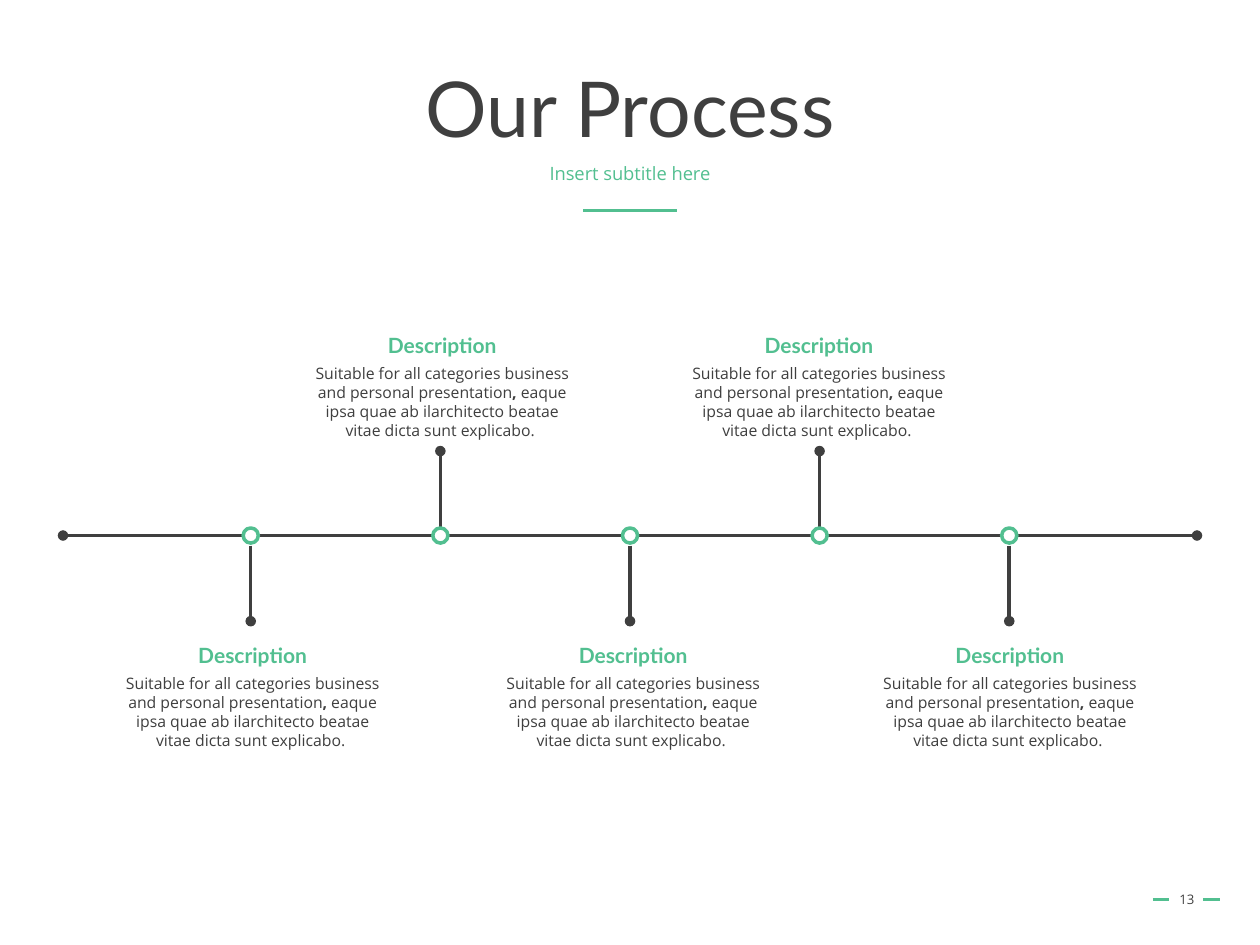
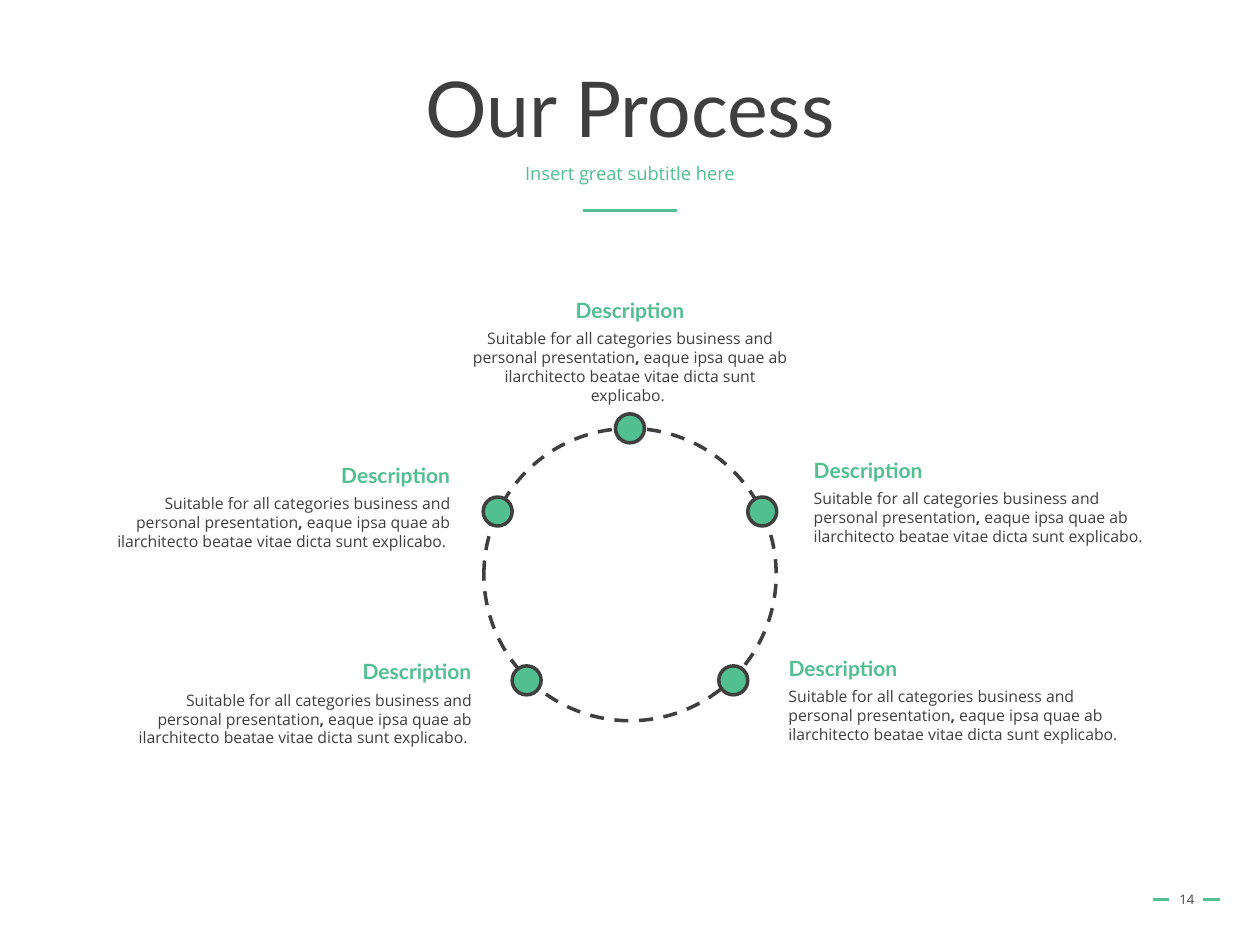
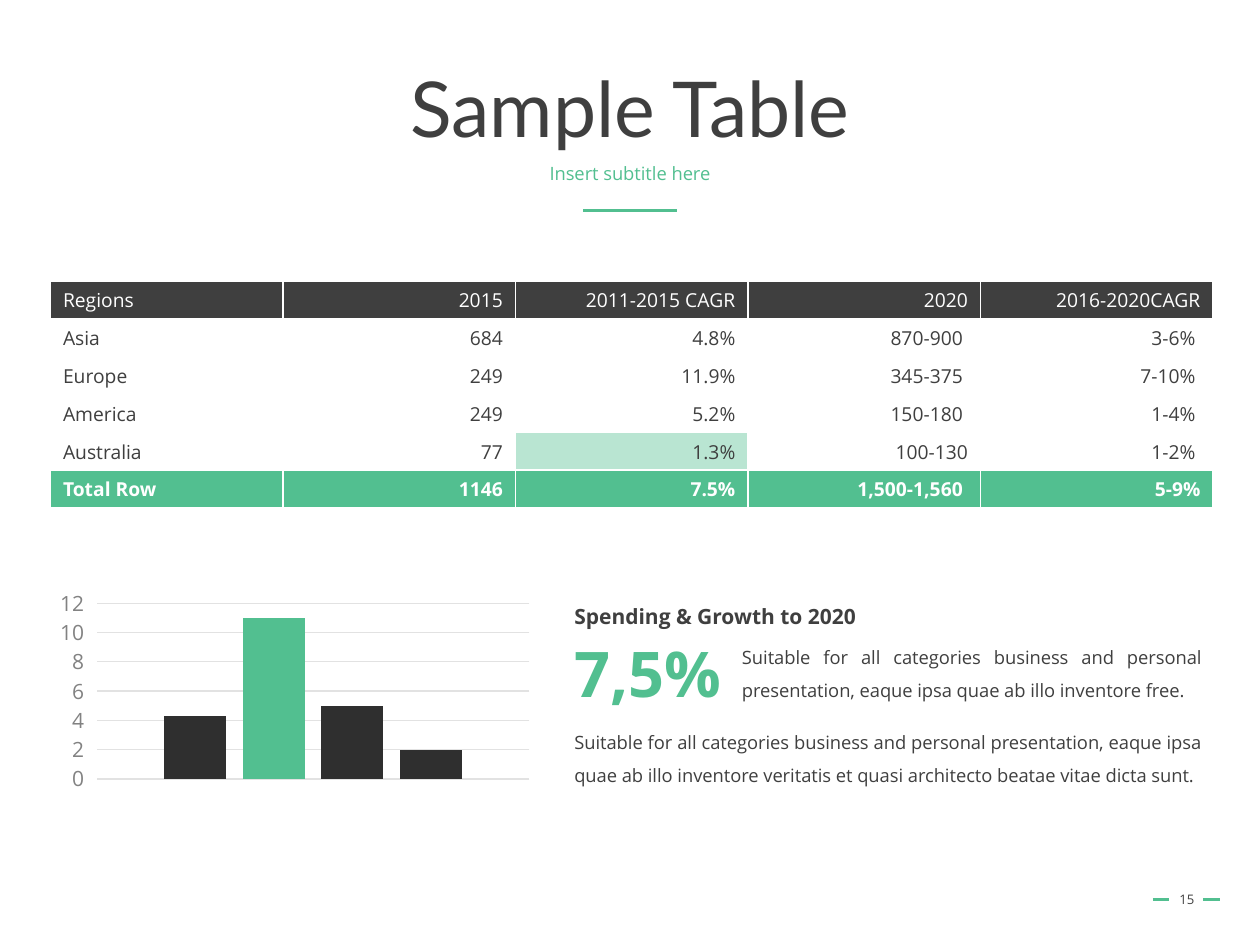
"""Build two process slides and a table slide with a chart."""
import pptx
import pptx.chart.data
import pptx.dml.color
import pptx.enum.chart
import pptx.enum.dml
import pptx.enum.shapes
import pptx.enum.text
import pptx.oxml
import pptx.oxml.ns
import pptx.util
from pptx.util import Inches, Pt

GREEN = pptx.dml.color.RGBColor(0x52, 0xBF, 0x90)
DARK = pptx.dml.color.RGBColor(0x3F, 0x3F, 0x3F)
BLACK = pptx.dml.color.RGBColor(0x2F, 0x2F, 0x2F)
GRAY = pptx.dml.color.RGBColor(0x82, 0x82, 0x82)
GRID = pptx.dml.color.RGBColor(0xE2, 0xE2, 0xE2)
WHITE = pptx.dml.color.RGBColor(0xFF, 0xFF, 0xFF)
HEAD_FONT, BODY_FONT = "Lato", "Open Sans"
LEFT, CENTER, RIGHT, JUSTIFY = (
    pptx.enum.text.PP_ALIGN.LEFT, pptx.enum.text.PP_ALIGN.CENTER,
    pptx.enum.text.PP_ALIGN.RIGHT, pptx.enum.text.PP_ALIGN.JUSTIFY)
TOP, MIDDLE = pptx.enum.text.MSO_ANCHOR.TOP, pptx.enum.text.MSO_ANCHOR.MIDDLE
OVAL = pptx.enum.shapes.MSO_SHAPE.OVAL
A = "http://schemas.openxmlformats.org/drawingml/2006/main"


def add_text(s, box, parts, size, font=BODY_FONT, color=DARK, bold=False,
             align=CENTER, anchor=TOP, spacing=None, wrap=True):
    sp = s.shapes.add_textbox(*[Inches(v) for v in box])
    tf = sp.text_frame
    tf.word_wrap = wrap
    tf.vertical_anchor = anchor
    p = tf.paragraphs[0]
    p.alignment = align
    p.line_spacing = spacing
    for part in parts:
        r = p.add_run()
        r.text = part
        r.font.size = Pt(size)
        r.font.name = font
        r.font.color.rgb = color
        r.font.bold = bold or part == ","
    return p


def add_line(s, x1, y1, x2, y2, color=DARK, width=2, ends=()):
    ln = s.shapes.add_connector(pptx.enum.shapes.MSO_CONNECTOR.STRAIGHT,
                                Inches(x1), Inches(y1), Inches(x2), Inches(y2))
    ln.line.color.rgb = color
    ln.line.width = Pt(width)
    spPr = ln._element.spPr
    for end in ends:
        spPr.find(pptx.oxml.ns.qn("a:ln")).append(
            pptx.oxml.parse_xml(f'<a:{end} xmlns:a="{A}" type="oval"/>'))
    spPr.append(pptx.oxml.parse_xml(f'<a:effectLst xmlns:a="{A}"/>'))


prs = pptx.Presentation()
prs.slide_width, prs.slide_height = Inches(10), Inches(7.5)

headers = [("Our Process", "Insert subtitle here"),
           ("Our Process", "Insert great subtitle here"),
           ("Sample Table", "Insert subtitle here")]
slides = []
for number, (title, subtitle) in enumerate(headers, 13):
    s = prs.slides.add_slide(prs.slide_layouts[6])
    slides.append(s)
    for x1, x2, y in [(4.63, 5.37, 1.67), (9.15, 9.28, 7.14), (9.55, 9.68, 7.14)]:
        add_line(s, x1, y, x2, y, GREEN, 1.75)
    add_text(s, (0.69, 0.4, 8.62, 0.98), [title], 44, HEAD_FONT, anchor=MIDDLE, spacing=0.9)
    add_text(s, (9.2, 6.94, 0.44, 0.4), [str(number)], 7.5, anchor=MIDDLE)
    p = add_text(s, (0.69, 1.26, 8.62, 0.4), [subtitle], 10.5, color=GREEN, spacing=0.9)
    p.space_before = Pt(10)
timeline, cycle, summary = slides

add_line(timeline, 0.5, 4.25, 9.5, 4.25, ends=("headEnd", "tailEnd"))
node_xs = [1.99 + 1.505 * i for i in range(5)]
for i, x in enumerate(node_xs):
    if i % 2:
        add_line(timeline, x, 3.58, x, 4.18, ends=("headEnd",))
    else:
        add_line(timeline, x, 4.33, x, 4.93, ends=("tailEnd",))

ring = cycle.shapes.add_shape(OVAL, Inches(3.84), Inches(3.4), Inches(2.32), Inches(2.32))
ring.shadow.inherit = False
ring.fill.background()
ring.line.color.rgb = DARK
ring.line.width = Pt(2)
ring.line.dash_style = pptx.enum.dml.MSO_LINE.DASH

nodes = [(timeline, x, 4.25, 0.12, WHITE, GREEN) for x in node_xs]
nodes += [(cycle, 5 + dx, y, 0.23, GREEN, DARK)
          for dx, y in [(0, 3.4), (-1.05, 4.06), (1.05, 4.06), (-0.82, 5.4), (0.82, 5.4)]]
for s, x, y, size, fill, line in nodes:
    sp = s.shapes.add_shape(OVAL, Inches(x - size / 2), Inches(y - size / 2),
                            Inches(size), Inches(size))
    sp.shadow.inherit = False
    sp.fill.solid()
    sp.fill.fore_color.rgb = fill
    sp.line.color.rgb = line
    sp.line.width = Pt(2)

descriptions = [
    (timeline, 0.86, 5.3, 2.29, 0.71, CENTER),
    (timeline, 3.88, 5.3, 2.29, 0.71, CENTER),
    (timeline, 6.87, 5.3, 2.29, 0.71, CENTER),
    (timeline, 2.38, 2.84, 2.26, 0.71, CENTER),
    (timeline, 5.37, 2.84, 2.26, 0.71, CENTER),
    (cycle, 3.62, 2.56, 2.76, 0.71, CENTER),
    (cycle, 6.36, 3.83, 2.83, 0.56, LEFT),
    (cycle, 6.16, 5.4, 2.83, 0.56, LEFT),
    (cycle, 0.82, 3.87, 2.85, 0.56, RIGHT),
    (cycle, 0.99, 5.43, 2.85, 0.56, RIGHT),
]
heading_w = 1.71
heading_shift = {LEFT: 0, CENTER: 0.5, RIGHT: 1}
for s, x, y, w, h, align in descriptions:
    ending = " eaque ipsa quae ab ilarchitecto beatae vitae dicta sunt explicabo."
    if align != LEFT:
        ending += " "
    add_text(s, (x, y, w, h),
             ["Suitable for all categories business and personal presentation", ",", ending],
             9, align=align)
    heading_x = x + (w - heading_w) * heading_shift[align]
    add_text(s, (heading_x, y - 0.25, heading_w, 0.3), ["Description"], 12,
             HEAD_FONT, GREEN, True, align)

rows = [
    ["Regions", "2015", "2011-2015 CAGR", "2020", "2016-2020CAGR"],
    ["Asia", "684", "4.8%", " 870-900 ", " 3-6% "],
    ["Europe", "249", "11.9%", " 345-375 ", " 7-10% "],
    ["America", "249", "5.2%", " 150-180 ", "1-4% "],
    ["Australia", "77", "1.3%", "100-130", "1-2% "],
    ["Total Row", "1146", "7.5%", " 1,500-1,560 ", " 5-9%"],
]
row_fills = {0: DARK, 5: GREEN}
tbl = summary.shapes.add_table(6, 5, Inches(0.4), Inches(2.23), Inches(9.23), Inches(1.8)).table
tbl.first_row = tbl.horz_banding = False
for i, row in enumerate(rows):
    for j, value in enumerate(row):
        cell = tbl.cell(i, j)
        cell.text = value
        p = cell.text_frame.paragraphs[0]
        p.alignment = RIGHT if j else LEFT
        r = p.runs[0]
        r.font.size = Pt(11)
        r.font.name = BODY_FONT
        r.font.bold = i == 5
        r.font.color.rgb = WHITE if i in row_fills else DARK
        tcPr = cell._tc.get_or_add_tcPr()
        if i in row_fills:
            cell.fill.solid()
            cell.fill.fore_color.rgb = row_fills[i]
        elif value == "1.3%":
            cell.fill.solid()
            cell.fill.fore_color.rgb = GREEN
            tcPr.find(".//" + pptx.oxml.ns.qn("a:srgbClr")).append(
                pptx.oxml.parse_xml(f'<a:alpha xmlns:a="{A}" val="40000"/>'))
        else:
            cell.fill.background()
        for k, side in enumerate(["lnL", "lnR", "lnT", "lnB"]):
            tcPr.insert(k, pptx.oxml.parse_xml(
                f'<a:{side} xmlns:a="{A}" w="12700"><a:solidFill>'
                f'<a:srgbClr val="{WHITE}"/></a:solidFill></a:{side}>'))

data = pptx.chart.data.CategoryChartData()
data.categories = ["1"]
for i, value in enumerate([4.3, 11, 5, 2], 1):
    data.add_series(f"Series {i}", [value])
chart = summary.shapes.add_chart(
    pptx.enum.chart.XL_CHART_TYPE.COLUMN_CLUSTERED,
    Inches(0.4), Inches(4.64), Inches(3.88), Inches(1.69), data).chart
chart.has_legend = False
chart.has_title = False
chart.font.size = Pt(10)
chart.font.name = BODY_FONT
chart.font.color.rgb = DARK
plot = chart.plots[0]
plot.vary_by_categories = False
plot.gap_width = 219
plot.overlap = -27
for series, color in zip(plot.series, [BLACK, GREEN, BLACK, BLACK]):
    series.format.fill.solid()
    series.format.fill.fore_color.rgb = color
chart.category_axis.visible = False
axis = chart.value_axis
axis.minimum_scale, axis.maximum_scale, axis.major_unit = 0, 12, 2
axis.major_tick_mark = pptx.enum.chart.XL_TICK_MARK.OUTSIDE
axis.format.line.fill.background()
axis.major_gridlines.format.line.color.rgb = GRID
axis.major_gridlines.format.line.width = Pt(0.75)
axis.tick_labels.font.size = Pt(12)
axis.tick_labels.font.name = BODY_FONT
axis.tick_labels.font.color.rgb = GRAY

add_text(summary, (4.46, 5.67, 5.18, 0.9),
         ["Suitable for all categories business and personal presentation, eaque ipsa quae ab "
          "illo inventore veritatis et quasi architecto beatae vitae dicta sunt."],
         10.5, align=JUSTIFY, spacing=1.5)
add_text(summary, (4.46, 4.64, 4.29, 0.4), ["Spending & Growth to 2020"], 12,
         bold=True, align=JUSTIFY, spacing=1.5)
add_text(summary, (4.46, 4.99, 1.38, 0.71), ["7,5%"], 36, color=GREEN,
         bold=True, align=LEFT, wrap=False)
add_text(summary, (5.79, 4.99, 3.85, 0.63),
         ["Suitable for all categories business and personal presentation, eaque ipsa quae ab "
          "illo inventore free."],
         10.5, align=JUSTIFY, spacing=1.5)

prs.save("out.pptx")
